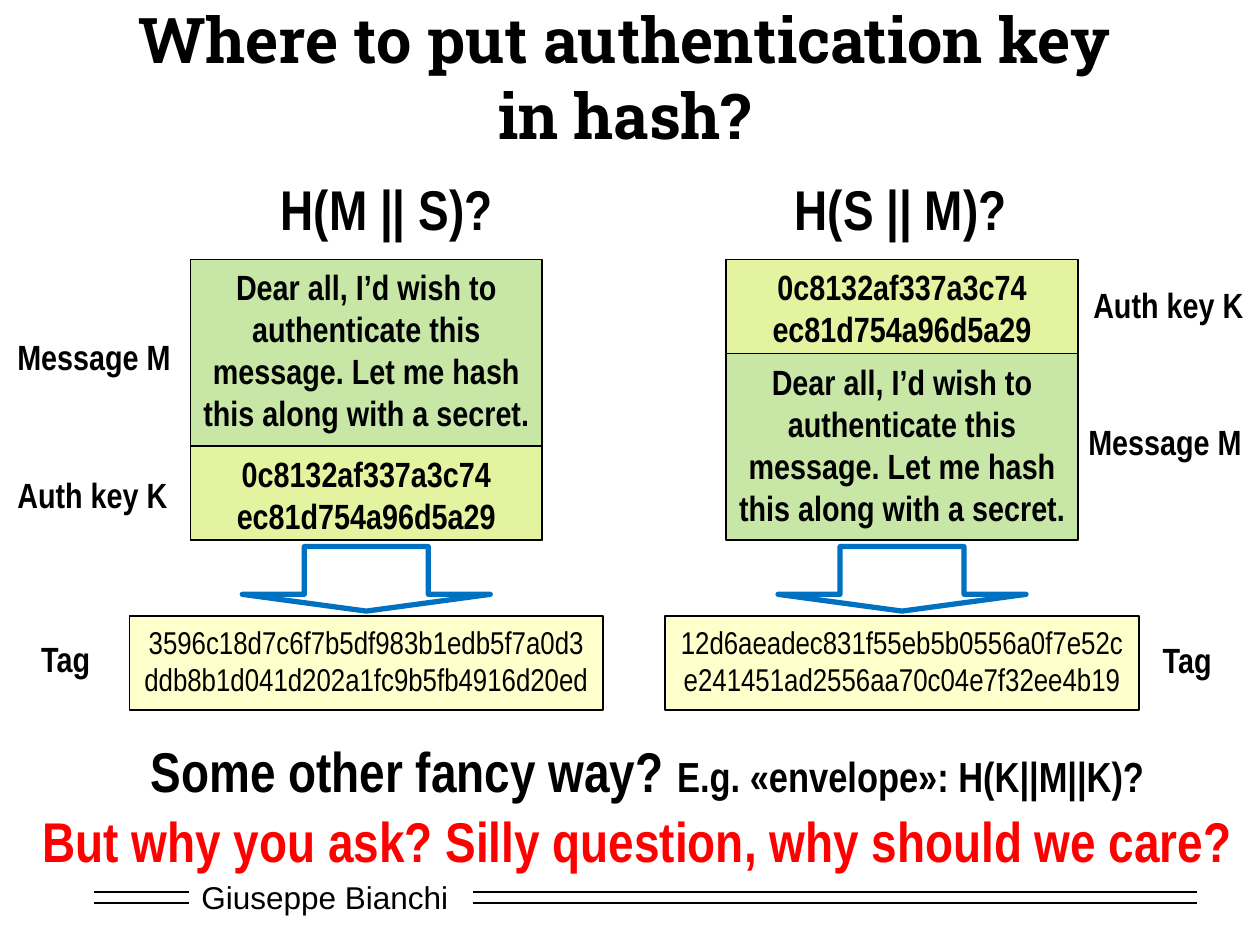
from lxml.etree import SubElement
from pptx import Presentation
from pptx.dml.color import RGBColor
from pptx.enum.shapes import MSO_CONNECTOR, MSO_SHAPE
from pptx.enum.text import MSO_ANCHOR, MSO_AUTO_SIZE, PP_ALIGN
from pptx.oxml.ns import qn
from pptx.util import Cm, Pt

BLACK, RED, BLUE = "000000", "FF0000", "0070C0"
GREEN, YELLOW = "92D050", "FFFF99"
MESSAGE = ("Dear all, I’d wish to authenticate this message. "
           "Let me hash this along with a secret.")
AUTH_KEY = "0c8132af337a3c74\nec81d754a96d5a29"
COLUMN_LEFT, COLUMN_STEP = 3.84, 10.8
STACK_TOP, STACK_WIDTH, STACK_HEIGHT, KEY_HEIGHT = 5.23, 7.09, 5.66, 1.9
TAG_WIDTH, ARROW_WIDTH = 9.55, 5


def color(code):
    return RGBColor.from_string(code)


class HashSlide:
    narrow = "Arial Narrow"

    def __init__(self, deck):
        self.slide = deck.slides.add_slide(deck.slide_layouts[5])
        self.shapes = self.slide.shapes

    def add_text(self, paragraph, text, size, bold=True, tint=BLACK, font=narrow):
        for index, line in enumerate(text.split("\n")):
            if index:
                paragraph.add_line_break()
            run = paragraph.add_run()
            run.text = line
            run.font.name = font
            run.font.size = Pt(size)
            run.font.bold = bold
            run.font.color.rgb = color(tint)

    def title(self, text, left, top, width, height):
        heading = self.shapes.title
        heading.left, heading.top = Cm(left), Cm(top)
        heading.width, heading.height = Cm(width), Cm(height)
        frame = heading.text_frame
        frame.auto_size = MSO_AUTO_SIZE.NONE
        frame.vertical_anchor = MSO_ANCHOR.MIDDLE
        paragraph = frame.paragraphs[0]
        paragraph.alignment = PP_ALIGN.CENTER
        paragraph.line_spacing = Pt(43)
        self.add_text(paragraph, text, 36, font="Roboto Slab")

    def shape(self, kind, left, top, width, height, outline, weight):
        item = self.shapes.add_shape(kind, Cm(left), Cm(top), Cm(width), Cm(height))
        item.shadow.inherit = False
        item.line.color.rgb = color(outline)
        item.line.width = Pt(weight)
        return item

    def block(self, text, left, top, width, height, fill, size=20, bold=True, pad=0):
        box = self.shape(MSO_SHAPE.RECTANGLE, left, top, width, height, BLACK, 1)
        box.fill.solid()
        box.fill.fore_color.rgb = color(fill)
        tint = box._element.spPr.find(qn("a:solidFill"))[0]
        SubElement(tint, qn("a:alpha")).set("val", "50000")
        frame = box.text_frame
        frame.word_wrap = True
        frame.vertical_anchor = MSO_ANCHOR.TOP
        frame.margin_top = Cm(0.13 + pad)
        paragraph = frame.paragraphs[0]
        paragraph.alignment = PP_ALIGN.CENTER
        self.add_text(paragraph, text, size, bold)

    def arrow(self, left, top, width, height):
        down = self.shape(MSO_SHAPE.DOWN_ARROW, left, top, width, height, BLUE, 3)
        down.fill.background()
        down.adjustments[0] = 0.5
        down.adjustments[1] = 0.26

    def label(self, parts, left, top, width, height, tint=BLACK, bold=True, font=narrow):
        box = self.shapes.add_textbox(Cm(left), Cm(top), Cm(width), Cm(height))
        frame = box.text_frame
        frame.word_wrap = False
        frame.auto_size = MSO_AUTO_SIZE.SHAPE_TO_FIT_TEXT
        for text, size in parts:
            self.add_text(frame.paragraphs[0], text, size, bold, tint, font)

    def rule(self, start, end, height):
        line = self.shapes.add_connector(
            MSO_CONNECTOR.STRAIGHT, Cm(start), Cm(height), Cm(end), Cm(height))
        line.line.color.rgb = color(BLACK)
        line.line.width = Pt(1)
        SubElement(line._element.spPr, qn("a:effectLst"))


def main():
    deck = Presentation()
    deck.slide_width, deck.slide_height = Cm(25.4), Cm(19.05)
    page = HashSlide(deck)
    page.title("Where to put authentication key in hash?", 1.9, 0.64, 21.39, 1.8)

    for height in (17.98, 18.21):
        for start, end in ((1.9, 3.81), (9.53, 24.13)):
            page.rule(start, end, height)
    page.label([("Giuseppe Bianchi", 18)], 3.81, 17.58, 5.51, 1.02,
               bold=False, font="Arial")

    key_bottom = STACK_TOP + STACK_HEIGHT - KEY_HEIGHT
    constructions = [
        ("H(M || S)?", 5.41, key_bottom, 0,
         "3596c18d7c6f7b5df983b1edb5f7a0d3ddb8b1d041d202a1fc9b5fb4916d20ed"),
        ("H(S || M)?", 15.77, STACK_TOP, KEY_HEIGHT,
         "12d6aeadec831f55eb5b0556a0f7e52ce241451ad2556aa70c04e7f32ee4b19"),
    ]
    for column, (formula, formula_left, key_top, pad, tag) in enumerate(constructions):
        left = COLUMN_LEFT + column * COLUMN_STEP
        center = left + STACK_WIDTH / 2
        page.label([(formula, 32)], formula_left, 3.4, 4.83, 1.63)
        page.block(MESSAGE, left, STACK_TOP, STACK_WIDTH, STACK_HEIGHT, GREEN, pad=pad)
        page.block(AUTH_KEY, left, key_top, STACK_WIDTH, KEY_HEIGHT, YELLOW)
        page.arrow(center - ARROW_WIDTH / 2, 11.02, ARROW_WIDTH, 1.3)
        page.block(tag, center - TAG_WIDTH / 2, 12.42, TAG_WIDTH, KEY_HEIGHT,
                   YELLOW, size=18, bold=False)

    for name, width, height, places in (
        ("Message M", 3.63, 1.96, ((0.1, 6.63), (21.69, 8.36))),
        ("Auth key K", 3.56, 1.96, ((0.1, 9.42), (21.79, 5.59))),
        ("Tag", 1.5, 1.12, ((0.58, 12.73), (23.19, 12.75))),
    ):
        for left, top in places:
            page.label([(name, 20)], left, top, width, height)

    page.label([("Some other fancy way? ", 32), ("E.g. «envelope»: H(K||M||K)?", 24)],
               2.79, 14.73, 20.73, 1.63)
    page.label([("But why you ask? Silly question, why should we care?", 32)],
               0.61, 16.13, 24.69, 1.63, tint=RED)
    deck.save("out.pptx")


if __name__ == "__main__":
    main()
